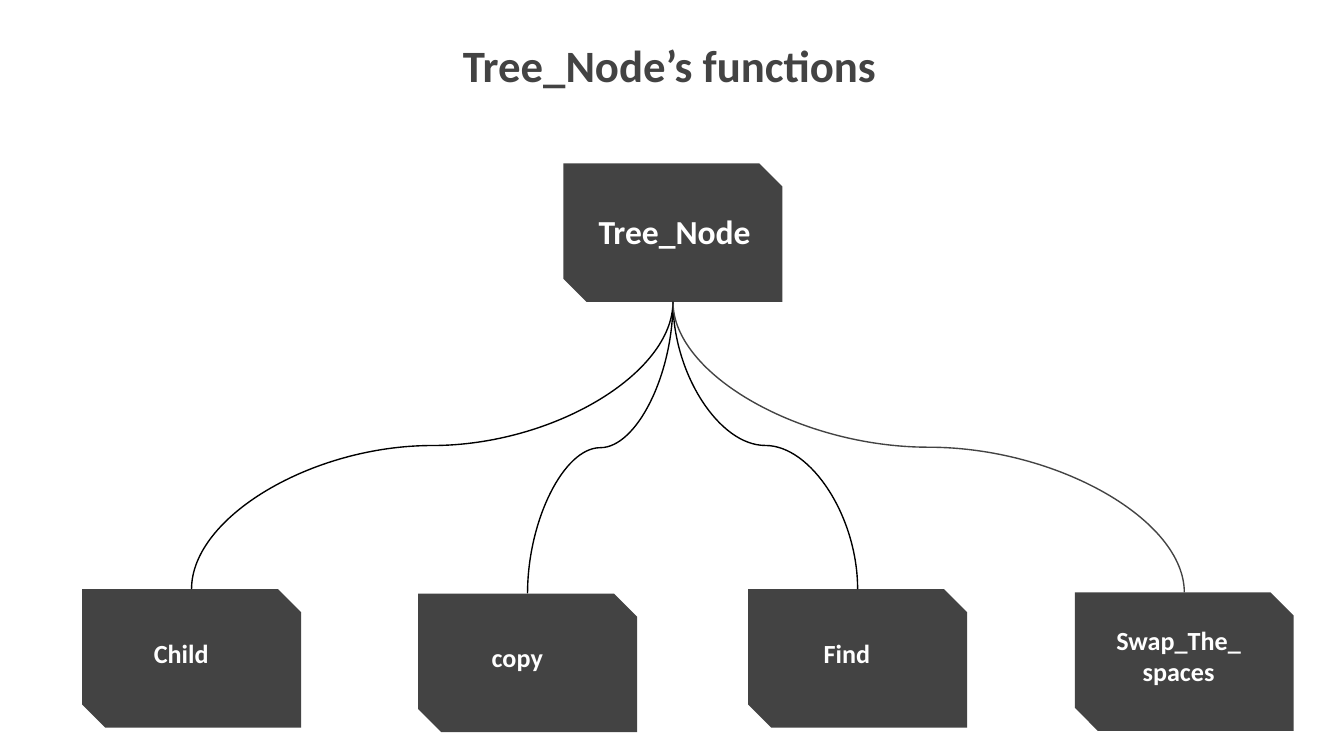
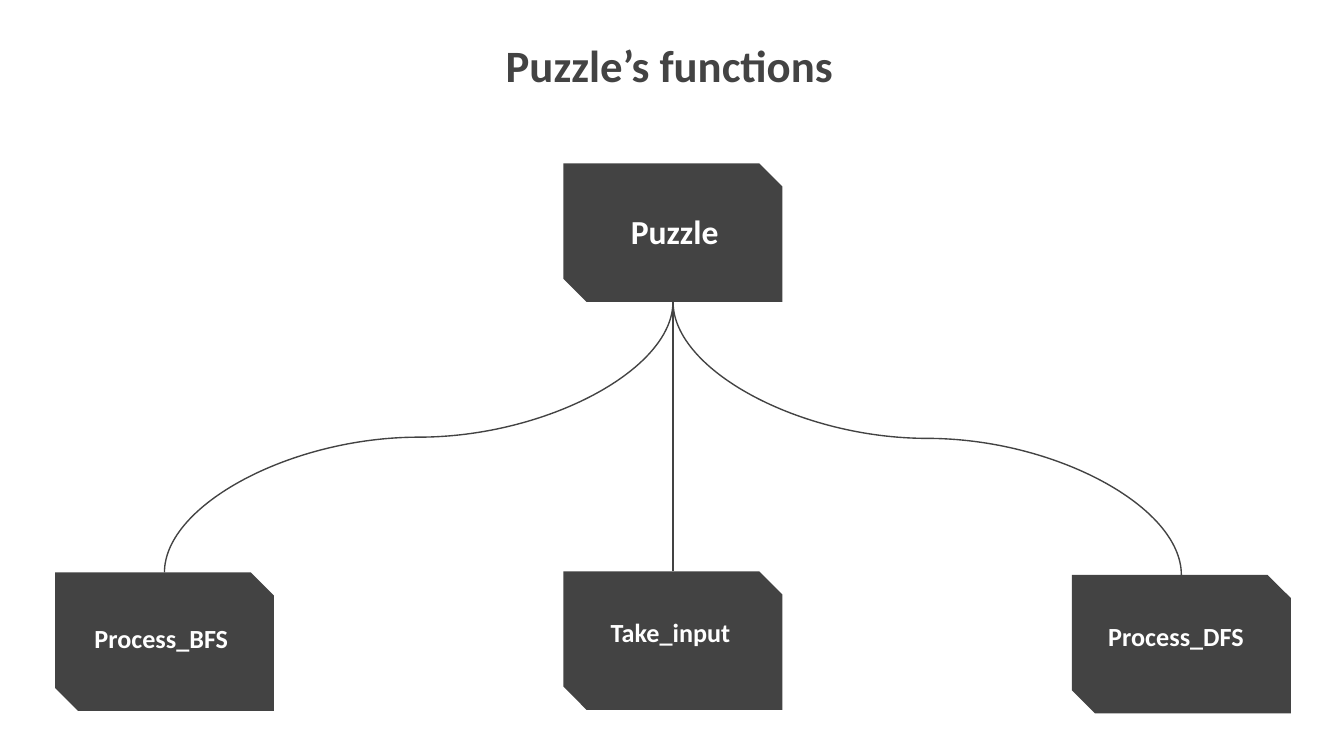
from lxml import etree
from pptx import Presentation
from pptx.dml.color import RGBColor
from pptx.enum.shapes import MSO_CONNECTOR, MSO_SHAPE
from pptx.enum.text import MSO_ANCHOR, PP_ALIGN
from pptx.oxml.ns import qn
from pptx.util import Pt

CHARCOAL = RGBColor(0x43, 0x43, 0x43)
BLACK = RGBColor(0x00, 0x00, 0x00)
WHITE = RGBColor(0xFF, 0xFF, 0xFF)

CURVE = MSO_CONNECTOR.CURVE
SNIPPED = MSO_SHAPE.SNIP_2_DIAG_RECTANGLE
CENTER = PP_ALIGN.CENTER
TOP = MSO_ANCHOR.TOP
BOTTOM = MSO_ANCHOR.BOTTOM

FONT = "Calibri"
INSET = 7.2
NODE_WIDTH, NODE_HEIGHT = 117.3, 74.2
LABEL_WIDTH, LABEL_HEIGHT = 112.3, 31
ROOT = (301.9, 87.6)
ROOT_LABEL_SHIFT = (3.4, 23.3)

TREES = [
    ("Tree_Node’s functions", "Tree_Node", [
        dict(text="Child", at=(44, 315.6), shift=(-3, 18.7), line=BLACK),
        dict(text="copy", at=(224, 318), shift=(-3, 18.7), line=BLACK),
        dict(text="Find", at=(400.8, 315.6), shift=(-3.2, 18.7), line=BLACK),
        dict(text="Swap_The_spaces", at=(575.8, 317.4), shift=(14.6, 26.8),
             label_width=82),
    ]),
    ("Puzzle’s functions", "Puzzle", [
        dict(text="Process_BFS", at=(29.5, 306.7), shift=(0.8, 19.5)),
        dict(text="Take_input", at=(301.9, 306.1), shift=(1.2, 17.2)),
        dict(text="Process_DFS", at=(574.2, 308), shift=(-0.3, 17.5)),
    ]),
]


def write(frame, text, size=14, color=WHITE, bold=True, align=CENTER, anchor=BOTTOM):
    frame.word_wrap = True
    frame.vertical_anchor = anchor
    frame.margin_left = frame.margin_right = Pt(INSET)
    frame.margin_top = frame.margin_bottom = Pt(INSET)
    para = frame.paragraphs[0]
    para.alignment = align
    span = para.add_run()
    span.text = text
    span.font.name = FONT
    span.font.size = Pt(size)
    span.font.bold = bold
    span.font.color.rgb = color


class TreeDeck:
    def __init__(self):
        self.deck = Presentation()
        self.deck.slide_width, self.deck.slide_height = Pt(720), Pt(405)
        self.page = None

    def add_page(self, title):
        self.page = self.deck.slides.add_slide(self.deck.slide_layouts[6])
        self.page.background.fill.solid()
        self.page.background.fill.fore_color.rgb = WHITE
        self.text_box(153.4, 13, 410.4, 74.2, title, size=24, color=CHARCOAL, anchor=TOP)

    def text_box(self, left, top, width, height, text, **text_format):
        box = self.page.shapes.add_textbox(Pt(left), Pt(top), Pt(width), Pt(height))
        write(box.text_frame, text, **text_format)

    def node(self, text, at, shift, label_width=LABEL_WIDTH, size=14):
        left, top = at
        box = self.page.shapes.add_shape(
            SNIPPED, Pt(left), Pt(top), Pt(NODE_WIDTH), Pt(NODE_HEIGHT))
        box.shadow.inherit = False
        box.adjustments[0], box.adjustments[1] = 0, 0.167
        box.fill.solid()
        box.fill.fore_color.rgb = CHARCOAL
        box.line.fill.background()
        self.text_box(left + shift[0], top + shift[1], label_width, LABEL_HEIGHT,
                      text, size=size)

    def branch(self, child, color):
        start_x, start_y = child[0] + NODE_WIDTH / 2, child[1]
        end_x, end_y = ROOT[0] + NODE_WIDTH / 2, ROOT[1] + NODE_HEIGHT
        middle_x, middle_y = (start_x + end_x) / 2, (start_y + end_y) / 2
        half_length, half_spread = (start_y - end_y) / 2, abs(end_x - start_x) / 2
        curve = self.page.shapes.add_connector(
            CURVE, Pt(middle_x - half_length), Pt(middle_y - half_spread),
            Pt(middle_x + half_length), Pt(middle_y + half_spread))
        curve.line.color.rgb = color
        curve.line.width = Pt(0.75)
        properties = curve.element.spPr
        etree.SubElement(properties, qn("a:effectLst"))
        frame = properties.find(qn("a:xfrm"))
        frame.set("flipV", "1")
        if start_x <= end_x:
            frame.set("flipH", "1")
            frame.set("rot", str(90 * 60000))
        else:
            frame.set("rot", str(270 * 60000))

    def tree(self, title, root, children):
        self.add_page(title)
        self.node(root, ROOT, ROOT_LABEL_SHIFT, size=18)
        for child in children:
            self.node(child["text"], child["at"], child["shift"],
                      child.get("label_width", LABEL_WIDTH))
            self.branch(child["at"], child.get("line", CHARCOAL))


def main():
    builder = TreeDeck()
    for title, root, children in TREES:
        builder.tree(title, root, children)
    builder.deck.save("out.pptx")


if __name__ == "__main__":
    main()
